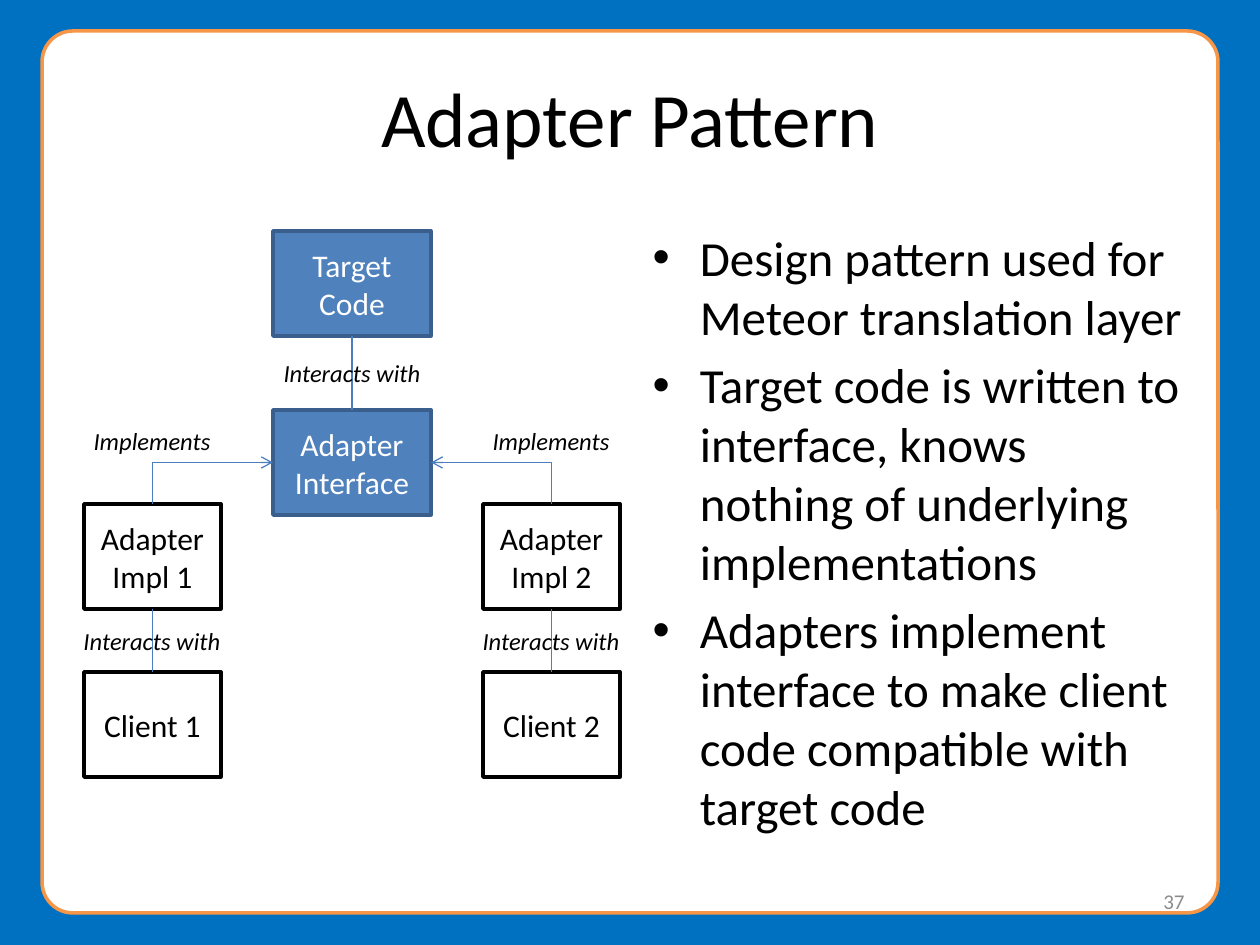
from lxml.etree import SubElement
from pptx import Presentation
from pptx.dml.color import RGBColor
from pptx.enum.shapes import MSO_CONNECTOR as Connector, MSO_SHAPE as Shape
from pptx.enum.text import MSO_ANCHOR as Anchor, MSO_AUTO_SIZE as AutoSize, PP_ALIGN as Align
from pptx.oxml.ns import qn
from pptx.util import Emu, Pt

EMU_PER_PX = 914400 / 126
FONT = "Calibri"

BACKDROP = RGBColor(0x00, 0x70, 0xC0)
ORANGE = RGBColor(0xF7, 0x96, 0x46)
BLUE = RGBColor(0x4F, 0x81, 0xBD)
DARK_BLUE = RGBColor(0x3A, 0x5F, 0x8C)
LINK_BLUE = RGBColor(0x4B, 0x7E, 0xBC)
GRAY = RGBColor(0x8C, 0x8C, 0x8C)
WHITE = RGBColor(0xFF, 0xFF, 0xFF)
BLACK = RGBColor(0x00, 0x00, 0x00)

# Connection sites of a rectangle
TOP, LEFT, BOTTOM, RIGHT = range(4)

BULLETS = [
    "Design pattern used for Meteor translation layer",
    "Target code is written to interface, knows nothing of underlying implementations",
    "Adapters implement interface to make client code compatible with target code",
]


def px(*lengths):
    return [Emu(round(length * EMU_PER_PX)) for length in lengths]


def write(shape, lines, size, color, align, italic=None):
    frame = shape.text_frame
    frame.word_wrap = True
    frame.text = "\n".join(lines)
    for para in frame.paragraphs:
        para.alignment = align
        font = para.font
        font.name, font.size, font.italic = FONT, Pt(size), italic
        font.color.rgb = color
    return frame


def fill_placeholder(holder, area, lines, size, align, anchor):
    holder.left, holder.top, holder.width, holder.height = px(*area)
    frame = write(holder, lines, size, BLACK, align)
    frame.auto_size = AutoSize.NONE
    frame.vertical_anchor = anchor


def add_panel(page, kind, area, fill, line):
    panel = page.shapes.add_shape(kind, *px(*area))
    panel.shadow.inherit = False
    panel.fill.solid()
    panel.fill.fore_color.rgb = fill
    panel.line.color.rgb = line
    panel.line.width = Pt(2)
    return panel


def add_box(page, area, text, fill=WHITE, line=BLACK, color=BLACK):
    box = add_panel(page, Shape.RECTANGLE, area, fill, line)
    write(box, [text], 18, color, Align.CENTER).vertical_anchor = Anchor.MIDDLE
    return box


def add_text(page, area, text, size, color, align, italic=None):
    return write(page.shapes.add_textbox(*px(*area)), [text], size, color, align, italic)


def add_label(page, center, top, width, text):
    add_text(page, (center - width / 2, top, width, 43), text, 14, BLACK, Align.CENTER, True)


def add_link(page, start, start_site, end, end_site, kind=Connector.STRAIGHT):
    link = page.shapes.add_connector(kind, 0, 0, 0, 0)
    link.begin_connect(start, start_site)
    link.end_connect(end, end_site)
    link.line.color.rgb = LINK_BLUE
    link.line.width = Pt(0.75)
    SubElement(link._element.spPr, qn("a:effectLst"))
    return link


def add_implements_arrow(page, interface, side, adapter):
    """One-bend link whose arrowhead sits on the interface."""
    link = add_link(page, interface, side, adapter, TOP, Connector.ELBOW)
    link._element.spPr.find(qn("a:prstGeom")).set("prst", "bentConnector2")
    SubElement(link.line._get_or_add_ln(), qn("a:headEnd"), type="arrow")


def add_diagram(page):
    # Shared code in the middle column
    blue = (BLUE, DARK_BLUE, WHITE)
    target = add_box(page, (273, 231, 158, 105), "Target Code", *blue)
    interface = add_box(page, (273, 410, 158, 105), "Adapter Interface", *blue)
    add_link(page, interface, TOP, target, BOTTOM)
    add_label(page, 352, 352, 200, "Interacts with")

    # One adapter and client on each side
    for number, left, side in ((1, 84, LEFT), (2, 483, RIGHT)):
        adapter = add_box(page, (left, 504, 137, 105), f"Adapter Impl {number}")
        client = add_box(page, (left, 672, 137, 105), f"Client {number}")
        add_link(page, client, TOP, adapter, BOTTOM)
        add_implements_arrow(page, interface, side, adapter)
        center = left + 68
        add_label(page, center, 620, 200, "Interacts with")
        add_label(page, center, 420, 158, "Implements")


def main():
    deck = Presentation()
    deck.slide_width, deck.slide_height = px(1260, 945)
    page = deck.slides.add_slide(deck.slide_layouts[1])
    page.background.fill.solid()
    page.background.fill.fore_color.rgb = BACKDROP

    # White frame behind everything
    frame = add_panel(page, Shape.ROUNDED_RECTANGLE, (42, 31, 1176, 882), WHITE, ORANGE)
    frame.adjustments[0] = 0.035
    page.shapes._spTree.insert(2, frame._element)

    # Title and bullet list
    title, body = page.placeholders
    fill_placeholder(title, (63, 38, 1134, 157), ["Adapter Pattern"], 44, Align.CENTER, Anchor.MIDDLE)
    fill_placeholder(body, (640, 221, 557, 624), BULLETS, 28, Align.LEFT, Anchor.TOP)

    # Page number
    number = add_text(page, (903, 876, 294, 50), "37", 12, GRAY, Align.RIGHT)
    number.vertical_anchor = Anchor.MIDDLE

    add_diagram(page)
    deck.save("out.pptx")


if __name__ == "__main__":
    main()
